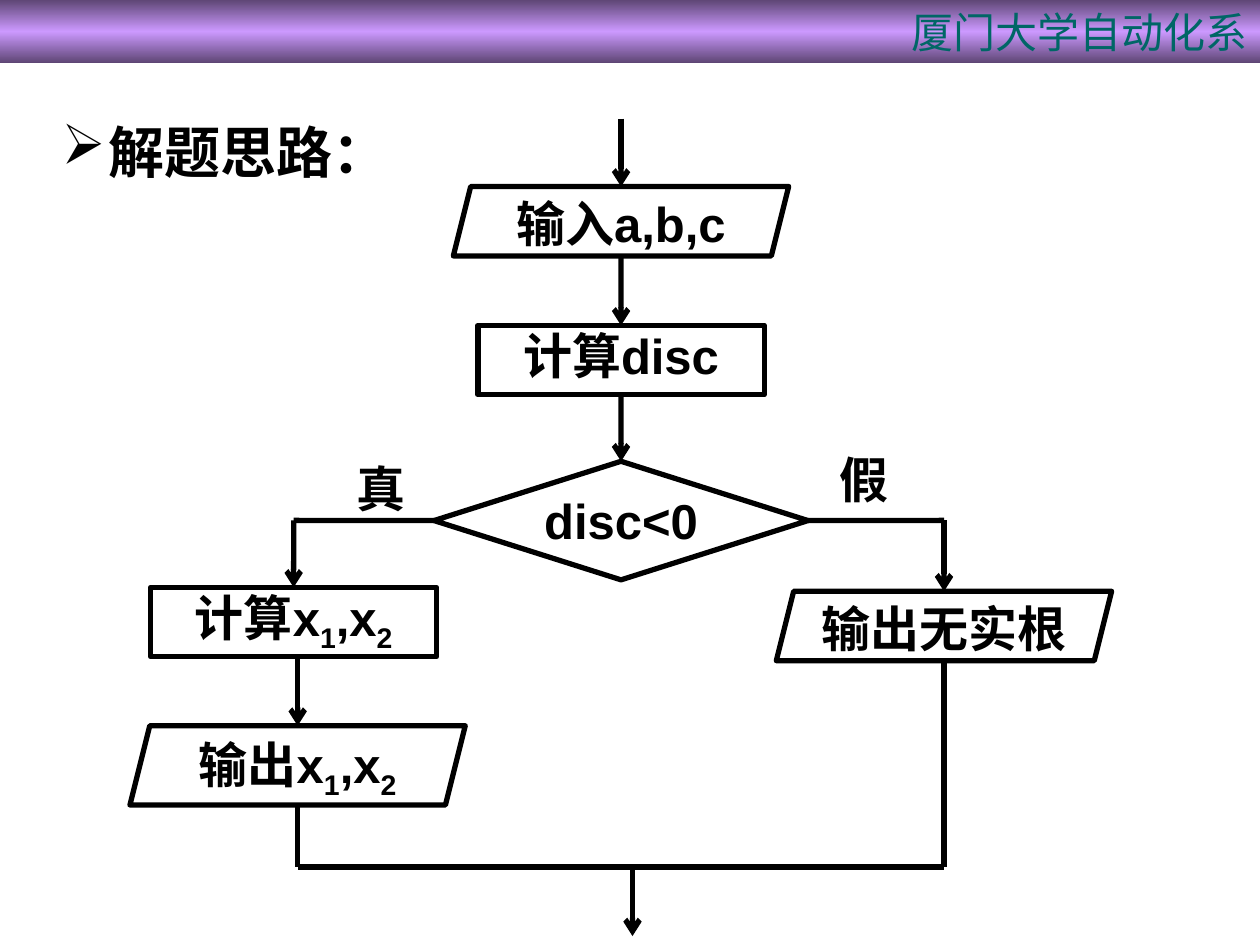
import copy

import pptx
import pptx.dml.color
import pptx.enum.shapes
import pptx.enum.text
import pptx.oxml
import pptx.oxml.ns
import pptx.util

Cm, Pt = pptx.util.Cm, pptx.util.Pt
RGB = pptx.dml.color.RGBColor
SHAPE = pptx.enum.shapes.MSO_SHAPE
ALIGN = pptx.enum.text.PP_ALIGN
ANCHOR = pptx.enum.text.MSO_ANCHOR
qn = pptx.oxml.ns.qn

BLACK = RGB(0x00, 0x00, 0x00)
WHITE = RGB(0xFF, 0xFF, 0xFF)
TEAL = RGB(0x00, 0x66, 0x66)
DARK_VIOLET = RGB(0x5E, 0x46, 0x75)
LIGHT_VIOLET = RGB(0xCC, 0x99, 0xFF)

BANNER_FONT = {"name": "Arial", "size": Pt(24), "bold": False}
HEADING_FONT = {"name": "DejaVu Sans", "size": Pt(32), "bold": True}
CHART_FONT = {"name": "Arial", "size": Pt(28), "bold": True}
NO_MARGINS = {"margin_left": 0, "margin_top": 0, "margin_right": 0,
              "margin_bottom": 0, "word_wrap": False,
              "vertical_anchor": ANCHOR.TOP}


def set_all(target, values):
    for name, value in values.items():
        setattr(target, name, value)


def add_span(para, text, font, color=BLACK):
    span = para.add_run()
    span.text = text
    set_all(span.font, font)
    span.font.color.rgb = color
    return span


def add_banner(page, left, top, width, height):
    """Gradient strip with the department name."""
    strip = page.shapes.add_shape(SHAPE.RECTANGLE, Cm(left), Cm(top), Cm(width), Cm(height))
    strip.shadow.inherit = False
    strip.line.fill.background()
    strip.fill.gradient()
    strip.fill.gradient_angle = 90

    # Dark edges with a light middle
    stop_list = strip.element.spPr.find(qn("a:gradFill")).find(qn("a:gsLst"))
    stop_list.append(copy.deepcopy(stop_list[0]))
    colors = (DARK_VIOLET, LIGHT_VIOLET, DARK_VIOLET)
    for stop, position, color in zip(strip.fill.gradient_stops, (0, 0.5, 1), colors):
        stop.position = position
        stop.color.rgb = color

    frame = strip.text_frame
    set_all(frame, {"word_wrap": True, "vertical_anchor": ANCHOR.MIDDLE})
    para = frame.paragraphs[0]
    para.alignment = ALIGN.RIGHT
    add_span(para, "厦门大学自动化系", BANNER_FONT, TEAL)


def add_heading(page, left, top, width, height):
    """Title placeholder with an arrow bullet."""
    title = page.shapes.title
    set_all(title, {"left": Cm(left), "top": Cm(top), "width": Cm(width), "height": Cm(height)})
    frame = title.text_frame
    set_all(frame, {"word_wrap": True, "vertical_anchor": ANCHOR.TOP,
                    "auto_size": pptx.enum.text.MSO_AUTO_SIZE.NONE})
    para = frame.paragraphs[0]
    set_all(para, {"alignment": ALIGN.LEFT, "line_spacing": 1.2})
    props = para._p.get_or_add_pPr()
    props.set("marL", str(Cm(0.95)))
    props.set("indent", str(-Cm(0.95)))
    pptx.oxml.ns  # namespace helpers
    bullet = props.makeelement(qn("a:buChar"), {"char": "➢"})
    props.append(bullet)
    add_span(para, "解题思路：", HEADING_FONT)


def add_flowchart(page, left, top):
    """Flowchart; every place is in centimetres from its top left corner."""

    def node(kind, center, y, width, height, *parts):
        shape = page.shapes.add_shape(kind, Cm(left + center - width / 2), Cm(top + y),
                                      Cm(width), Cm(height))
        shape.shadow.inherit = False
        shape.fill.solid()
        shape.fill.fore_color.rgb = WHITE
        shape.line.color.rgb = BLACK
        shape.line.width = Pt(3)
        set_all(shape.text_frame, NO_MARGINS)
        para = shape.text_frame.paragraphs[0]
        para.alignment = ALIGN.CENTER
        for index, text in enumerate(parts):
            span = add_span(para, text, CHART_FONT)
            if index % 2:  # every second part is a subscript
                span.font._element.set("baseline", "-25000")
        return shape

    def link(start, end, arrow=False, begin=None, finish=None):
        (x1, y1), (x2, y2) = start, end
        line = page.shapes.add_connector(
            pptx.enum.shapes.MSO_CONNECTOR.STRAIGHT,
            Cm(left + x1), Cm(top + y1), Cm(left + x2), Cm(top + y2))
        line.line.color.rgb = BLACK
        line.line.width = Pt(3)
        if arrow:
            outline = line.line._get_or_add_ln()
            outline.append(outline.makeelement(qn("a:tailEnd"), {"type": "arrow"}))
        props = line._element.spPr
        props.append(props.makeelement(qn("a:effectLst"), {}))
        if begin:
            line.begin_connect(*begin)
        if finish:
            line.end_connect(*finish)

    def label(x, y, text):
        box = page.shapes.add_textbox(Cm(left + x), Cm(top + y), Cm(1.4), Cm(1.45))
        box.text_frame.word_wrap = True
        add_span(box.text_frame.paragraphs[0], text, CHART_FONT)

    # Columns and the rows where branches split and meet
    main, yes, result, no = 9.9, 3.3, 3.38, 16.41
    split, meet = 8.1, 15.09
    data, process = SHAPE.PARALLELOGRAM, SHAPE.FLOWCHART_PROCESS

    # Nodes
    node(data, main, 1.37, 6.76, 1.4, "输入a,b,c")
    compute = node(process, main, 4.17, 5.77, 1.4, "计算disc")
    decision = node(SHAPE.FLOWCHART_DECISION, main, 6.91, 7.54, 2.39, "disc<0")
    roots = node(process, yes, 9.45, 5.77, 1.4, "计算x", "1", ",x", "2")
    node(data, no, 9.53, 6.76, 1.4, "输出无实根")
    node(data, result, 12.24, 6.76, 1.6, "输出x", "1", ",x", "2")

    # Main flow
    link((main, 0), (main, 1.37), True)
    link((main, 2.77), (main, 4.17), True, finish=(compute, 0))
    link((main, 5.57), (main, 6.91), True, (compute, 2), (decision, 0))

    # True branch
    link((yes, split), (6.13, split), finish=(decision, 1))
    link((yes, split), (yes, 9.45), True, finish=(roots, 0))
    link((result, 10.85), (result, 12.24), True)
    link((result, 13.84), (result, meet))

    # False branch
    link((13.67, split), (no, split), begin=(decision, 3))
    link((no, split), (no, 9.53), True)
    link((no, 10.93), (no, meet))

    # Branches meet and leave
    link((result, meet), (no, meet))
    link((10.13, meet), (10.13, 16.48), True)

    # Branch labels
    label(4.32, 6.73, "真")
    label(14.05, 6.55, "假")


def main():
    deck = pptx.Presentation()
    deck.slide_width, deck.slide_height = Cm(25.4), Cm(19.05)
    page = deck.slides.add_slide(deck.slide_layouts[5])
    add_banner(page, 0, 0, 25.4, 1.27)
    add_heading(page, 0.99, 1.98, 7.54, 2.18)
    add_flowchart(page, 2.62, 2.39)
    deck.save("out.pptx")


if __name__ == "__main__":
    main()
